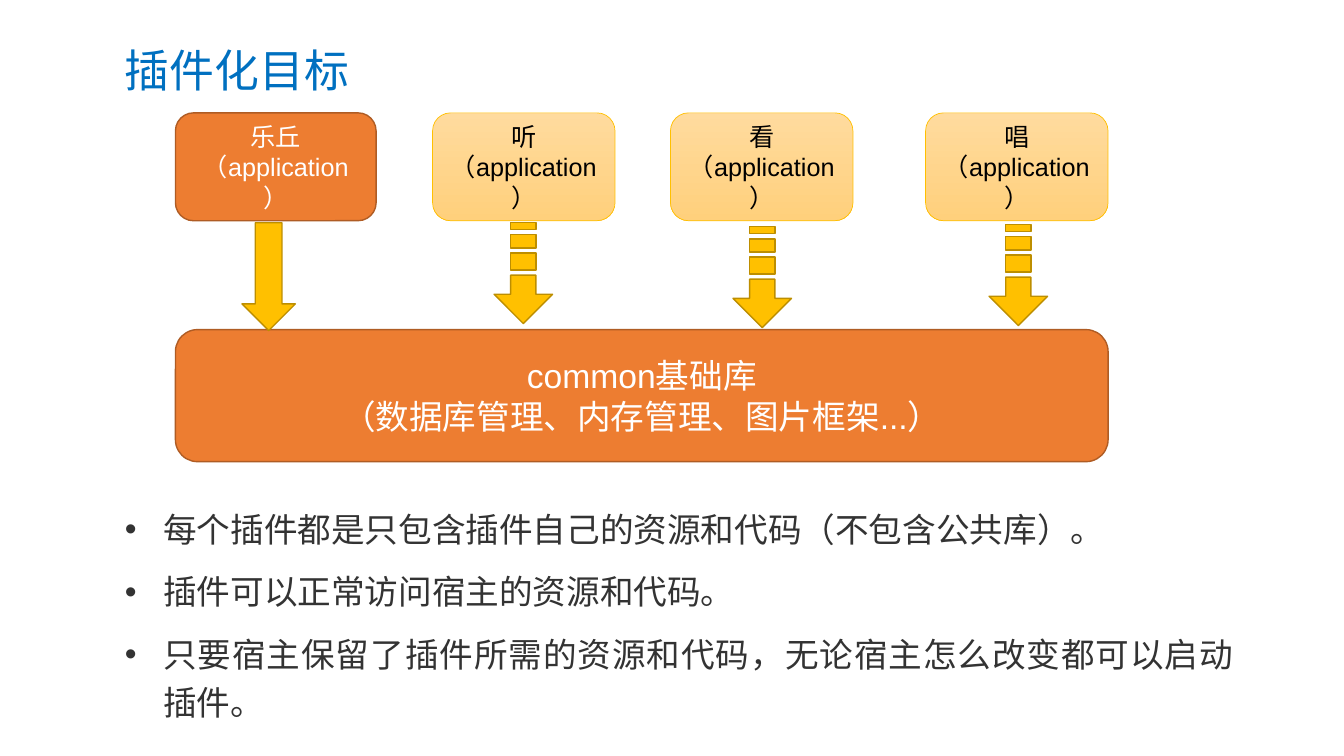
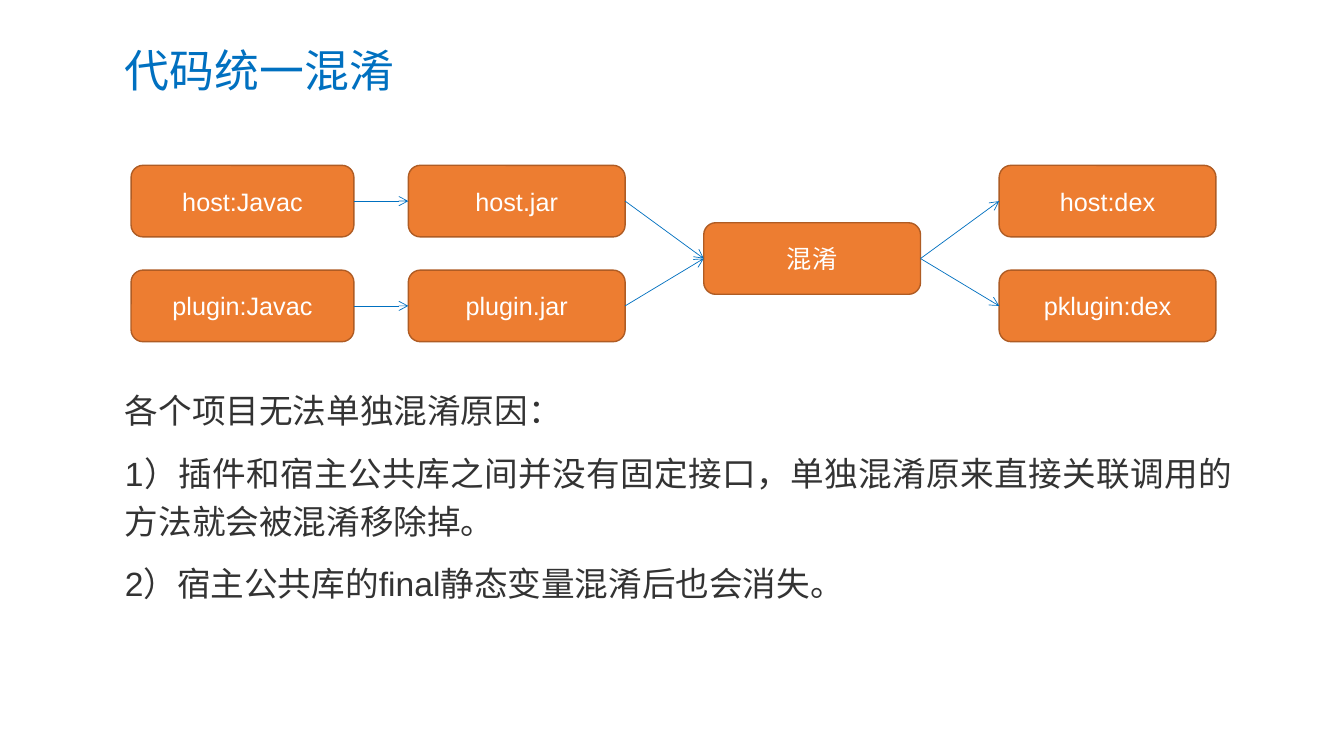
from lxml.etree import SubElement
from pptx import Presentation
from pptx.dml.color import RGBColor
from pptx.enum.shapes import MSO_CONNECTOR, MSO_SHAPE
from pptx.enum.text import MSO_ANCHOR, PP_ALIGN
from pptx.oxml.ns import qn
from pptx.util import Inches, Pt

FONT = "Arial"
BLUE = RGBColor(0x00, 0x70, 0xC0)
ORANGE = RGBColor(0xED, 0x7D, 0x31)
RUST = RGBColor(0xAF, 0x5C, 0x24)
GOLD = RGBColor(0xFF, 0xC0, 0x00)
BROWN = RGBColor(0xBD, 0x8E, 0x00)
PALE = RGBColor(0xFF, 0xDB, 0x9E)
SAND = RGBColor(0xFF, 0xD0, 0x7C)
GREY = RGBColor(0x33, 0x33, 0x33)
WHITE = RGBColor(0xFF, 0xFF, 0xFF)
BLACK = RGBColor(0x00, 0x00, 0x00)

LEFT, WIDE = 1.14, 11.19

GOALS = [
    "每个插件都是只包含插件自己的资源和代码（不包含公共库）。",
    "插件可以正常访问宿主的资源和代码。",
    "只要宿主保留了插件所需的资源和代码，无论宿主怎么改变都可以启动插件。",
]
REASONS = [
    "各个项目无法单独混淆原因：",
    "1）插件和宿主公共库之间并没有固定接口，单独混淆原来直接关联调用的方法就会被混淆移除掉。",
    "2）宿主公共库的final静态变量混淆后也会消失。",
]
APP = "（application）"
HOST = "乐丘"
BASE = ["common基础库", "（数据库管理、内存管理、图片框架...）"]
PLUGINS = [("听", 4.29, 5.19, 2.21), ("看", 6.65, 7.56, 2.25), ("唱", 9.18, 10.1, 2.23)]

TOP, MID, LOW = 1.64, 2.21, 2.68
STEPS = {
    "host:Javac": (1.3, TOP, 2.21),
    "plugin:Javac": (1.3, LOW, 2.21),
    "混淆": (6.98, MID, 2.15),
    "host.jar": (4.05, TOP, 2.15),
    "plugin.jar": (4.05, LOW, 2.15),
    "host:dex": (9.91, TOP, 2.15),
    "pklugin:dex": (9.91, LOW, 2.15),
}
LINKS = [
    ("host:Javac", "host.jar"),
    ("host.jar", "混淆"),
    ("plugin.jar", "混淆"),
    ("plugin:Javac", "plugin.jar"),
    ("混淆", "host:dex"),
    ("混淆", "pklugin:dex"),
]


def write(frame, lines, size, color, align, space=None, before=0):
    frame.word_wrap = True
    for i, line in enumerate(lines):
        para = frame.paragraphs[0] if i == 0 else frame.add_paragraph()
        para.alignment = align
        para.space_before = Pt(before)
        if space:
            para.line_spacing = space
        run = para.add_run()
        run.text = line
        run.font.name = FONT
        run.font.size = Pt(size)
        run.font.color.rgb = color


def add_text(slide, top, high, lines, size, color, **style):
    box = slide.shapes.add_textbox(Inches(LEFT), Inches(top), Inches(WIDE), Inches(high))
    write(box.text_frame, lines, size, color, **style)
    return box.text_frame


def add_title(slide, text):
    frame = add_text(slide, 0.3, 0.84, [text], 32, BLUE, align=PP_ALIGN.LEFT, space=0.9)
    frame.vertical_anchor = MSO_ANCHOR.MIDDLE


def add_body(slide, top, high, lines):
    return add_text(slide, top, high, lines, 24, GREY,
                    align=PP_ALIGN.JUSTIFY, space=1.2, before=10)


def add_bullets(frame):
    for para in frame.paragraphs:
        props = para._p.get_or_add_pPr()
        props.set("marL", str(Inches(0.38)))
        props.set("indent", str(Inches(-0.38)))
        SubElement(props, qn("a:buFont")).set("typeface", FONT)
        SubElement(props, qn("a:buChar")).set("char", "•")


def paint(shape, fills, line, width=1):
    shape.shadow.inherit = False
    if len(fills) > 1:
        shape.fill.gradient()
        shape.fill.gradient_angle = 270
        for stop, color in zip(shape.fill.gradient_stops, fills):
            stop.color.rgb = color
    else:
        shape.fill.solid()
        shape.fill.fore_color.rgb = fills[0]
    shape.line.color.rgb = line
    shape.line.width = Pt(width)


def add_box(slide, place, lines, size=18, color=WHITE, fills=(ORANGE,), line=RUST, width=1):
    box = slide.shapes.add_shape(MSO_SHAPE.ROUNDED_RECTANGLE, *map(Inches, place))
    paint(box, fills, line, width)
    box.text_frame.vertical_anchor = MSO_ANCHOR.MIDDLE
    write(box.text_frame, lines, size, color, PP_ALIGN.CENTER)
    return box


def add_striped(slide, mid, top):
    stem, head = 0.125, 0.29
    bars = [(0, 0.07), (0.12, 0.25), (0.3, 0.47)]
    parts = [[(-stem, a), (stem, a), (stem, b), (-stem, b)] for a, b in bars]
    parts.append([(-stem, 0.52), (stem, 0.52), (stem, 0.71), (head, 0.71),
                  (0, 1), (-head, 0.71), (-stem, 0.71)])
    parts = [[(Inches(mid + x), Inches(top + y)) for x, y in part] for part in parts]
    path = slide.shapes.build_freeform(*parts[0][0])
    for i, part in enumerate(parts):
        if i:
            path.move_to(*part[0])
        path.add_line_segments(part[1:], close=True)
    paint(path.convert_to_shape(), (GOLD,), BROWN)


def add_link(slide, start, end):
    link = slide.shapes.add_connector(MSO_CONNECTOR.STRAIGHT, 0, 0, 0, 0)
    link.begin_connect(start, 3)
    link.end_connect(end, 1)
    link.line.color.rgb = BLUE
    link.line.width = Pt(0.5)
    props = link.element.spPr
    SubElement(props.find(qn("a:ln")), qn("a:tailEnd")).set("type", "arrow")
    SubElement(props, qn("a:effectLst"))


def draw_goals(slide):
    add_title(slide, "插件化目标")
    add_box(slide, (1.74, 3.27, 9.25, 1.31), BASE, size=24)
    add_box(slide, (1.74, 1.12, 1.99, 1.07), [HOST, APP])
    arrow = slide.shapes.add_shape(
        MSO_SHAPE.DOWN_ARROW, *map(Inches, (2.4, 2.21, 0.53, 1.07)))
    paint(arrow, (GOLD,), BROWN)
    for name, left, mid, top in PLUGINS:
        add_box(slide, (left, 1.12, 1.81, 1.07), [name, APP],
                color=BLACK, fills=(PALE, SAND), line=GOLD, width=0.5)
        add_striped(slide, mid, top)
    add_bullets(add_body(slide, 4.92, 2.23, GOALS))


def draw_steps(slide):
    add_title(slide, "代码统一混淆")
    add_body(slide, 3.74, 2.75, REASONS)
    boxes = {name: add_box(slide, (*place, 0.71), [name]) for name, place in STEPS.items()}
    for start, end in LINKS:
        add_link(slide, boxes[start], boxes[end])


def main():
    """Build the two slides and save them."""
    deck = Presentation()
    deck.slide_width, deck.slide_height = Inches(13.33), Inches(7.5)
    for draw in (draw_goals, draw_steps):
        draw(deck.slides.add_slide(deck.slide_layouts[6]))
    deck.save("out.pptx")


if __name__ == "__main__":
    main()
